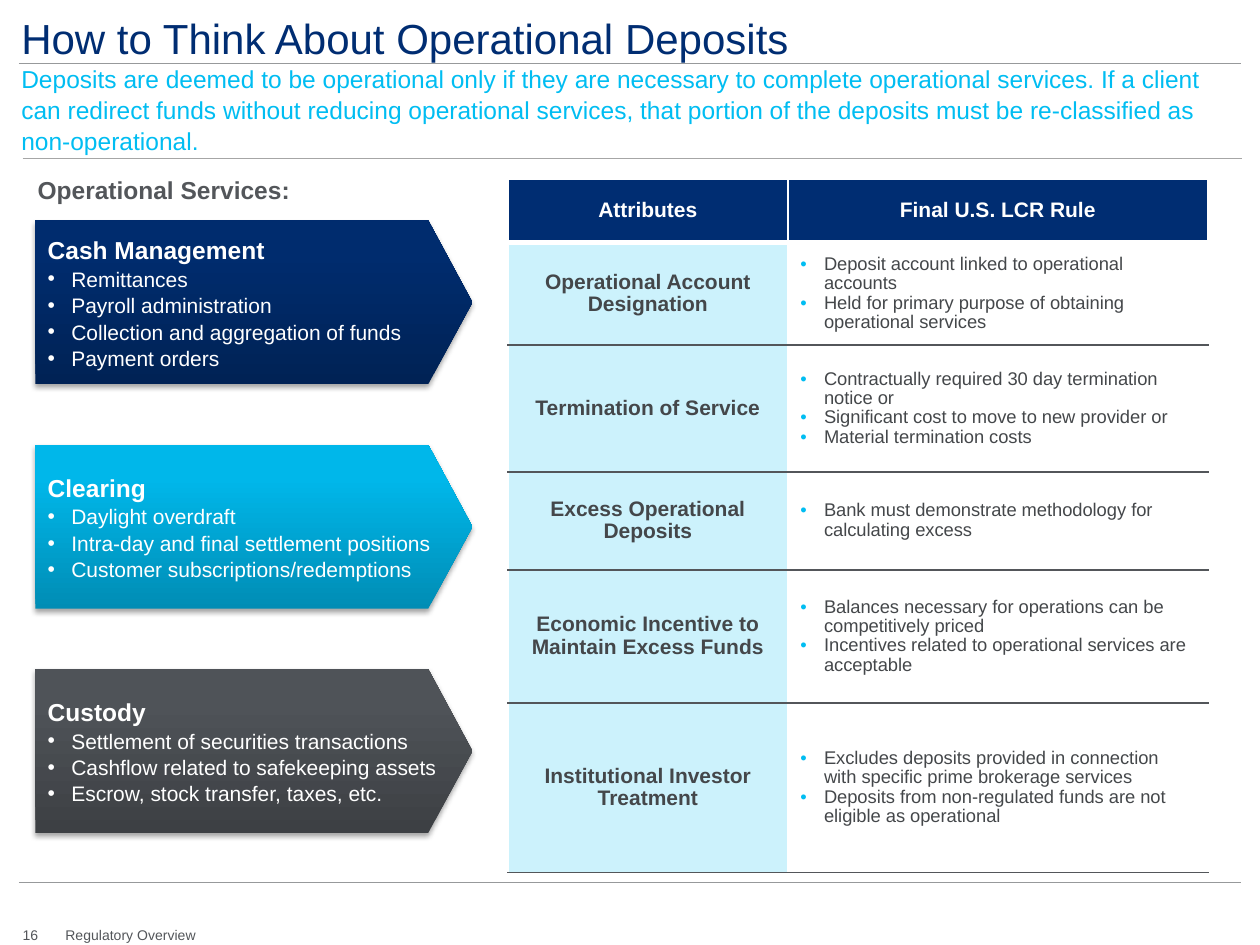
from dataclasses import dataclass

from lxml.etree import SubElement
from pptx import Presentation
from pptx.dml.color import RGBColor
from pptx.enum.shapes import MSO_CONNECTOR, MSO_SHAPE
from pptx.enum.text import MSO_ANCHOR, PP_ALIGN
from pptx.oxml.ns import qn
from pptx.util import Pt

NAVY = RGBColor(0x00, 0x2D, 0x72)
CYAN = RGBColor(0x00, 0xBD, 0xF2)
PALE_CYAN = RGBColor(0xCC, 0xF2, 0xFC)
GRAY = RGBColor(0x53, 0x56, 0x5A)
DARK_GRAY = RGBColor(0x44, 0x47, 0x4A)
RULE_GRAY = RGBColor(0x97, 0x99, 0x9B)
LIGHT_GRAY = RGBColor(0xA6, 0xA6, 0xA6)
WHITE = RGBColor(0xFF, 0xFF, 0xFF)
BLACK = RGBColor(0x00, 0x00, 0x00)

FONT = "Arial"
BULLET_INDENT = Pt(13.5)


@dataclass
class Service:
    name: str
    items: list[str]
    gradient: tuple[RGBColor, RGBColor, RGBColor]


@dataclass
class Attribute:
    name: str
    rules: list[str]
    height: float


SERVICES = [
    Service("Cash Management",
            ["Remittances", "Payroll administration",
             "Collection and aggregation of funds", "Payment orders"],
            (RGBColor(0x00, 0x22, 0x55), RGBColor(0x00, 0x2C, 0x6E), RGBColor(0x00, 0x2C, 0x6F))),
    Service("Clearing",
            ["Daylight overdraft", "Intra-day and final settlement positions",
             "Customer subscriptions/redemptions"],
            (RGBColor(0x00, 0x8D, 0xB5), RGBColor(0x00, 0xB7, 0xEA), RGBColor(0x00, 0xB8, 0xEC))),
    Service("Custody",
            ["Settlement of securities transactions", "Cashflow related to safekeeping assets",
             "Escrow, stock transfer, taxes, etc."],
            (RGBColor(0x3D, 0x40, 0x44), RGBColor(0x4F, 0x53, 0x58), RGBColor(0x50, 0x54, 0x59))),
]

ATTRIBUTES = [
    Attribute("Operational Account Designation",
              ["Deposit account linked to operational accounts",
               "Held for primary purpose of obtaining operational services"], 58.5),
    Attribute("Termination of Service",
              ["Contractually required 30 day termination notice or",
               "Significant cost to move to new provider or",
               "Material termination costs"], 72.5),
    Attribute("Excess Operational Deposits",
              ["Bank must demonstrate methodology for calculating excess"], 56),
    Attribute("Economic Incentive to Maintain Excess Funds",
              ["Balances necessary for operations can be competitively priced",
               "Incentives related to operational services are acceptable"], 76),
    Attribute("Institutional Investor Treatment",
              ["Excludes deposits provided in connection with specific prime brokerage services",
               "Deposits from non-regulated funds are not eligible as operational"], 97),
]


def format_paragraph(paragraph, size: float, color: RGBColor, bold: bool = False,
                     spacing: float = 1.05, bullet: RGBColor | None = None) -> None:
    paragraph.line_spacing = spacing
    for run in paragraph.runs:
        run.font.name = FONT
        run.font.size = Pt(size)
        run.font.bold = bold
        run.font.color.rgb = color
    if bullet is not None:
        properties = paragraph._p.get_or_add_pPr()
        properties.set("marL", str(BULLET_INDENT))
        properties.set("indent", str(-BULLET_INDENT))
        add_color(SubElement(properties, qn("a:buClr")), bullet)
        SubElement(properties, qn("a:buFont"), typeface=FONT)
        SubElement(properties, qn("a:buChar"), char="•")


def add_color(parent, color: RGBColor):
    return SubElement(parent, qn("a:srgbClr"), val=str(color))


def add_text(slide, left: float, top: float, width: float, height: float, text: str,
             size: float, color: RGBColor, bold: bool = False, wrap: bool = True,
             margin: tuple[float, float] = (0, 0), anchor=MSO_ANCHOR.TOP,
             spacing: float = 1.05) -> None:
    text_frame = slide.shapes.add_textbox(Pt(left), Pt(top), Pt(width), Pt(height)).text_frame
    text_frame.margin_left = text_frame.margin_right = Pt(margin[0])
    text_frame.margin_top = text_frame.margin_bottom = Pt(margin[1])
    text_frame.word_wrap = wrap
    text_frame.vertical_anchor = anchor
    text_frame.text = text
    format_paragraph(text_frame.paragraphs[0], size, color, bold, spacing)


def add_rule(slide, left: float, right: float, top: float, color: RGBColor) -> None:
    line = slide.shapes.add_connector(MSO_CONNECTOR.STRAIGHT, Pt(left), Pt(top), Pt(right), Pt(top))
    line.line.color.rgb = color
    line.line.width = Pt(0.5)
    SubElement(line._element.spPr, qn("a:effectLst"))


def add_service(slide, service: Service, top: float) -> None:
    shape = slide.shapes.add_shape(MSO_SHAPE.PENTAGON, Pt(20.2), Pt(top), Pt(249.8), Pt(93.6))
    shape.adjustments[0] = 0.27
    shape.line.fill.background()
    shape.shadow.inherit = False

    # Three-stop gradient, darkest at the bottom
    shape.fill.gradient()
    gradient = shape._element.spPr.find(qn("a:gradFill"))
    for child in list(gradient):
        gradient.remove(child)
    stops = SubElement(gradient, qn("a:gsLst"))
    for position, color in zip((0, 80, 100), service.gradient):
        add_color(SubElement(stops, qn("a:gs"), pos=str(position * 1000)), color)
    SubElement(gradient, qn("a:lin"), ang="16200000", scaled="0")

    # Soft shadow below
    effects = shape._element.spPr.find(qn("a:effectLst"))
    shadow = SubElement(effects, qn("a:outerShdw"), blurRad=str(Pt(3.1)), dist=str(Pt(1.8)),
                        dir="5400000", rotWithShape="0")
    SubElement(add_color(shadow, BLACK), qn("a:alpha"), val="35000")

    text_frame = shape.text_frame
    text_frame.word_wrap = False
    text_frame.vertical_anchor = MSO_ANCHOR.MIDDLE
    text_frame.text = "\n".join([service.name, *service.items])
    heading, *items = text_frame.paragraphs
    format_paragraph(heading, 14, WHITE, bold=True)
    for item in items:
        format_paragraph(item, 12, WHITE, bullet=WHITE)
    for paragraph in text_frame.paragraphs:
        paragraph.alignment = PP_ALIGN.LEFT


def set_borders(cell, top: tuple[RGBColor, float], bottom: tuple[RGBColor, float]) -> None:
    properties = cell._tc.get_or_add_tcPr()
    sides = {"a:lnL": (WHITE, 1), "a:lnR": (WHITE, 1), "a:lnT": top, "a:lnB": bottom}
    for index, (tag, (color, width)) in enumerate(sides.items()):
        border = SubElement(properties, qn(tag), w=str(Pt(width)))
        add_color(SubElement(border, qn("a:solidFill")), color)
        properties.insert(index, border)


def fill_cell(cell, lines: list[str], size: float, color: RGBColor, bold: bool,
              fill: RGBColor | None, bullet: RGBColor | None = None) -> None:
    cell.vertical_anchor = MSO_ANCHOR.MIDDLE
    if fill is None:
        cell.fill.background()
    else:
        cell.fill.solid()
        cell.fill.fore_color.rgb = fill
    cell.text_frame.text = "\n".join(lines)
    for paragraph in cell.text_frame.paragraphs:
        paragraph.alignment = PP_ALIGN.LEFT if bullet is not None else PP_ALIGN.CENTER
        format_paragraph(paragraph, size, color, bold, 0.95, bullet)


def add_attribute_table(slide) -> None:
    heights = [36.5] + [attribute.height for attribute in ATTRIBUTES]
    table = slide.shapes.add_table(len(heights), 2, Pt(290.2), Pt(102.2),
                                   Pt(400), Pt(sum(heights))).table
    table.first_row = table.horz_banding = False
    for column, width in zip(table.columns, (160, 240)):
        column.width = Pt(width)
    for row, height in zip(table.rows, heights):
        row.height = Pt(height)

    for column, title in enumerate(("Attributes", "Final U.S. LCR Rule")):
        cell = table.cell(0, column)
        fill_cell(cell, [title], 12, WHITE, True, NAVY)
        set_borders(cell, (WHITE, 1), (WHITE, 3))
    for row, attribute in enumerate(ATTRIBUTES, start=1):
        fill_cell(table.cell(row, 0), [attribute.name], 12, DARK_GRAY, True, PALE_CYAN)
        fill_cell(table.cell(row, 1), attribute.rules, 10.5, DARK_GRAY, False, None, CYAN)
        for column in range(2):
            set_borders(table.cell(row, column), (WHITE, 3) if row == 1 else (GRAY, 1), (GRAY, 1))


def main() -> None:
    presentation = Presentation()
    presentation.slide_width, presentation.slide_height = Pt(720), Pt(540)
    slide = presentation.slides.add_slide(presentation.slide_layouts[6])

    # Title, summary and rules
    add_rule(slide, 10.8, 709.2, 504, RULE_GRAY)
    add_rule(slide, 10.8, 709.2, 36, RULE_GRAY)
    add_text(slide, 12.2, 5.8, 687, 28.8, "How to Think About Operational Deposits", 24, NAVY)
    add_rule(slide, 13, 710, 90.7, LIGHT_GRAY)
    add_text(slide, 12.2, 36.7, 689, 51.1,
             "Deposits are deemed to be operational only if they are necessary to complete "
             "operational services. If a client can redirect funds without reducing operational "
             "services, that portion of the deposits must be re-classified as non-operational.",
             14, CYAN, anchor=MSO_ANCHOR.MIDDLE)

    # Operational services
    for index, service in enumerate(SERVICES):
        add_service(slide, service, 126 + index * 128.2)
    add_text(slide, 14.4, 95.8, 177.8, 24.5, "Operational Services:", 14, GRAY, bold=True,
             margin=(7.2, 3.6))

    # Attributes and rule
    add_attribute_table(slide)

    # Footer
    add_text(slide, 13, 529.2, 9, 9.4, "16", 8, GRAY, wrap=False, spacing=1)
    add_text(slide, 37.4, 529.2, 75, 9.4, "Regulatory Overview", 8, GRAY, wrap=False, spacing=1)

    presentation.save("out.pptx")


if __name__ == "__main__":
    main()
